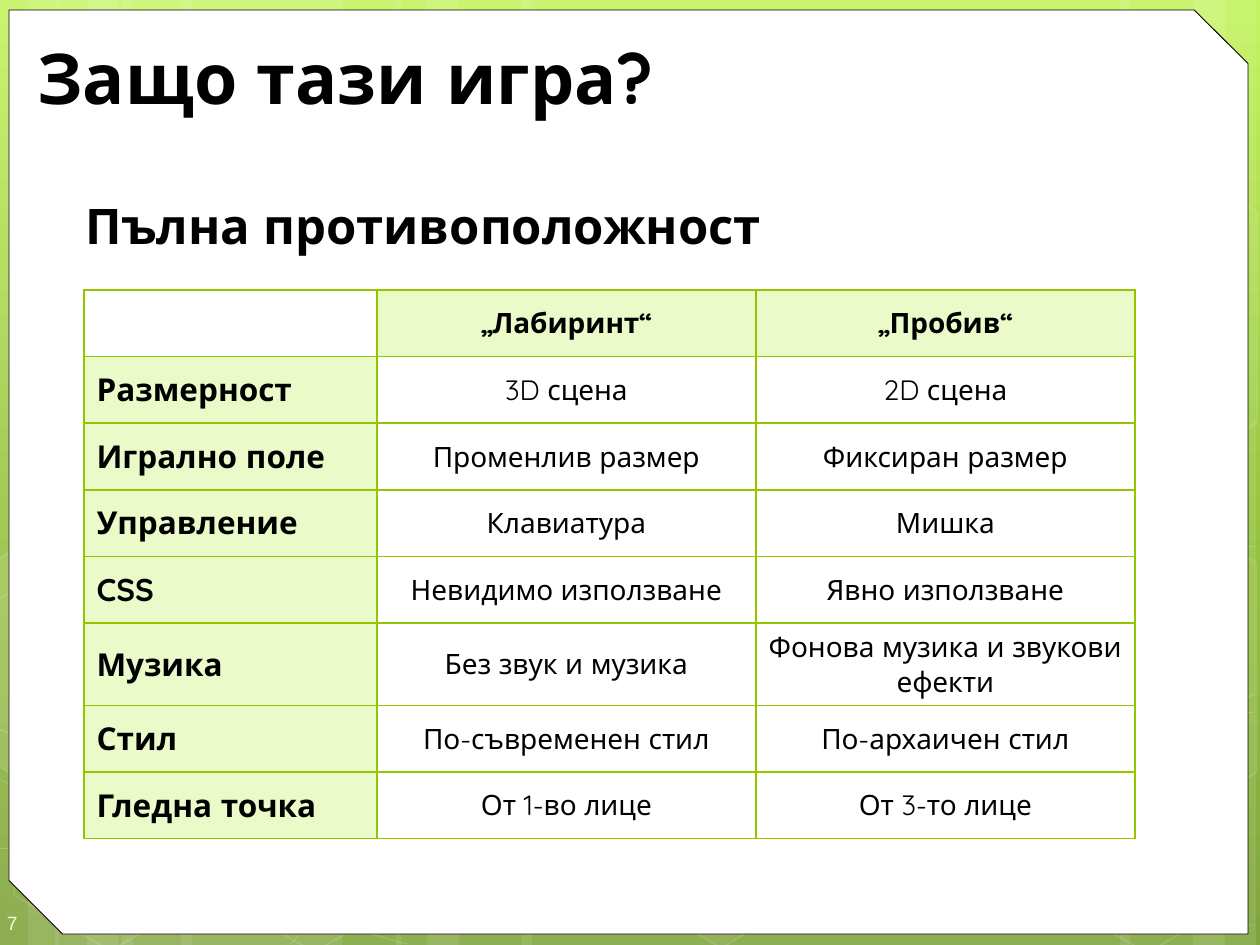
import copy
import math
from dataclasses import dataclass
from typing import Optional

import pptx
import pptx.dml.color
import pptx.enum.shapes
import pptx.enum.text
import pptx.oxml
import pptx.oxml.ns
import pptx.util

EMU_PER_PX = 914400 / 126
WIDTH, HEIGHT = 1260, 945
FONT = "Quicksand"
COLORS = {
    "top": "C3F35F", "middle": "93BF3F", "bottom": "81A53E",
    "white": "FFFFFF", "black": "000000", "number": "EEFFD6",
    "header": "EAFAC9", "border": "94C600",
}
ANCHOR = pptx.enum.text.MSO_ANCHOR
ALIGN = pptx.enum.text.PP_ALIGN
SHAPE = pptx.enum.shapes.MSO_SHAPE
TILT = 30  # degrees, for every hexagon


@dataclass
class Box:
    left: int
    top: int
    width: int
    height: int


@dataclass
class Look:
    """Fill and line of a shape; opacities are in percent."""
    fill: Optional[int] = None
    line: Optional[int] = None
    points: float = 1
    line_color: str = "white"


@dataclass
class Hexagon:
    left: int
    top: int
    fill: Optional[int] = None
    line: int = 12


@dataclass
class CutHexagon:
    center: tuple
    points: list
    fill: Optional[int] = None


# Left, width and rotation
STRIPES = [(122, 220, 0), (-4, 63, 0), (28, 105, 0), (181, 220, 0), (55, 63, 0), (87, 105, 0),
           (910, 220, 180), (1193, 63, 180), (1120, 105, 180),
           (522, 388, 0), (396, 63, 0), (427, 105, 0)]

# Each curve: a start point, then three points for every Bezier segment
CURVES = [
    [(-5, 848), (63, 852), (131, 855), (226, 854), (320, 853), (436, 850), (563, 838),
     (689, 825), (868, 801), (983, 777), (1099, 753), (1217, 716), (1255, 694)],
    [(-5, 601), (31, 581), (68, 562), (139, 543), (210, 524), (311, 496), (423, 488),
     (536, 480), (672, 479), (810, 488), (949, 498), (1179, 537), (1255, 547)],
    [(-6, 777), (145, 847), (297, 916), (407, 944)],
    [(-5, 728), (34, 742), (74, 756), (147, 776), (220, 795), (330, 827), (435, 848),
     (541, 869), (673, 892), (777, 905), (881, 919), (994, 924), (1060, 927),
     (1126, 932), (1144, 930), (1177, 930), (1208, 929), (1232, 926), (1255, 925)],
    [(291, 944), (314, 919), (336, 893), (367, 871), (397, 848), (440, 823), (474, 805),
     (509, 788), (532, 780), (577, 767), (624, 755), (708, 737), (752, 728),
     (796, 719), (804, 719), (843, 717), (882, 713), (944, 709), (987, 708),
     (1029, 707), (1102, 708), (1102, 708), (1130, 708), (1158, 708), (1186, 708),
     (1210, 709), (1231, 711), (1242, 712), (1252, 713), (1249, 712), (1254, 713)],
]
HONEYCOMB = [
    Hexagon(410, 394, 10), Hexagon(509, 568), Hexagon(510, 219, 7, 8),
    Hexagon(407, 45, 4, 8), Hexagon(611, 742, 6),
    CutHexagon((30, 674), [(-4, 561), (10, 552), (107, 607), (106, 718), (11, 774), (-4, 765)], 10),
    Hexagon(0, 745), Hexagon(4, 393, 7, 8), Hexagon(103, 568), Hexagon(204, 746),
    Hexagon(208, 394, 7, 8), Hexagon(106, 215), Hexagon(935, 571, 10),
    Hexagon(1037, 747), Hexagon(1037, 396, 7, 8),
    CutHexagon((1227, 655), [(1153, 611), (1247, 556), (1256, 562), (1257, 772),
                             (1249, 777), (1152, 722)], 4),
    CutHexagon((1227, 304), [(1153, 261), (1247, 205), (1257, 212), (1257, 422),
                             (1249, 427), (1152, 372)]),
]
COLUMN_WIDTHS = [293, 379, 379]
ROWS = [
    ("", "„Лабиринт“", "„Пробив“"),
    ("Размерност", "3D сцена", "2D сцена"),
    ("Игрално поле", "Променлив размер", "Фиксиран размер"),
    ("Управление", "Клавиатура", "Мишка"),
    ("CSS", "Невидимо използване", "Явно използване"),
    ("Музика", "Без звук и музика", "Фонова музика и звукови ефекти"),
    ("Стил", "По-съвременен стил", "По-архаичен стил"),
    ("Гледна точка", "От 1-во лице", "От 3-то лице"),
]


def px(value: int) -> int:
    return round(value * EMU_PER_PX)


def extent(box: Box) -> list:
    return [px(value) for value in (box.left, box.top, box.width, box.height)]


def rgb(name: str):
    return pptx.dml.color.RGBColor.from_string(COLORS[name])


def set_all(target, formats: dict) -> None:
    for attribute, value in formats.items():
        setattr(target, attribute, value)


def apply_look(shape, look: Look) -> None:
    shape.shadow.inherit = False
    parts = ((shape.fill, look.fill, "white", "./a:solidFill/a:srgbClr"),
             (shape.line.fill, look.line, look.line_color, "./a:ln/a:solidFill/a:srgbClr"))
    for fill, opacity, color, query in parts:
        if opacity is None:
            fill.background()
            continue
        fill.solid()
        fill.fore_color.rgb = rgb(color)
        if opacity < 100:
            element = shape.element.spPr.xpath(query)[0]
            element.append(element.makeelement(pptx.oxml.ns.qn("a:alpha"), {"val": str(opacity * 1000)}))
    if look.line is not None:
        shape.line.width = pptx.util.Pt(look.points)


def add_preset(slide, kind, box: Box, look: Look, adjustments=(), rotation: int = 0) -> None:
    shape = slide.shapes.add_shape(kind, *extent(box))
    for index, value in enumerate(adjustments):
        shape.adjustments[index] = value
    shape.rotation = rotation
    apply_look(shape, look)


def add_outline(slide, points: list, look: Look, closed: bool):
    builder = slide.shapes.build_freeform(*points[0], scale=EMU_PER_PX)
    builder.add_line_segments(points[1:], close=closed)
    shape = builder.convert_to_shape()
    apply_look(shape, look)
    return shape


def add_curve(slide, points: list) -> None:
    shape = add_outline(slide, points, Look(line=20, points=0.5), False)
    lines = shape.element.xpath(".//a:lnTo")
    for start in range(0, len(lines), 3):  # three points make one Bezier segment
        segment = lines[start].makeelement(pptx.oxml.ns.qn("a:cubicBezTo"), {})
        lines[start].addprevious(segment)
        for line in lines[start:start + 3]:
            segment.append(line[0])
            line.getparent().remove(line)


def add_cut_hexagon(slide, hexagon: CutHexagon) -> None:
    cosine, sine = math.cos(math.radians(TILT)), math.sin(math.radians(TILT))
    x, y = hexagon.center
    upright = [(x + (a - x) * cosine + (b - y) * sine, y - (a - x) * sine + (b - y) * cosine)
               for a, b in hexagon.points]
    add_outline(slide, upright, Look(hexagon.fill, 12), True).rotation = TILT


def write_text(frame, text: str, size: int, bold: bool = False, align=ALIGN.LEFT,
               color: str = "black", name: str = FONT) -> None:
    paragraph = frame.paragraphs[0]
    paragraph.text = text
    set_all(paragraph, {"alignment": align, "space_before": pptx.util.Pt(0)})
    font = paragraph.runs[0].font
    set_all(font, {"name": name, "size": pptx.util.Pt(size), "bold": bold})
    font.color.rgb = rgb(color)


def place_placeholder(slide, shape, box: Box, text: str, size: int, anchor) -> None:
    slide.shapes.element.append(shape.element)  # in front of the backdrop
    shape.left, shape.top, shape.width, shape.height = extent(box)
    set_all(shape.text_frame, {"word_wrap": True, "vertical_anchor": anchor,
                               "auto_size": pptx.enum.text.MSO_AUTO_SIZE.NONE})
    write_text(shape.text_frame, text, size, bold=True)


def paint_background(slide) -> None:
    fill = slide.background.fill
    fill.gradient()
    fill.gradient_angle = 270
    stop_list = slide.element.xpath(".//p:bg//a:gsLst")[0]
    stop_list.append(copy.deepcopy(stop_list[-1]))
    for stop, name, position in zip(fill.gradient_stops, ("top", "middle", "bottom"), (0, 0.62, 1)):
        stop.color.rgb = rgb(name)
        stop.position = position


def add_borders(cell) -> None:
    properties = cell._tc.get_or_add_tcPr()
    for index, side in enumerate(("lnL", "lnR", "lnT", "lnB")):
        properties.insert(index, pptx.oxml.parse_xml(
            f'<a:{side} {pptx.oxml.ns.nsdecls("a")} w="12700"><a:solidFill>'
            f'<a:srgbClr val="{COLORS["border"]}"/></a:solidFill></a:{side}>'))


def add_comparison(slide, box: Box) -> None:
    table = slide.shapes.add_table(len(ROWS), len(COLUMN_WIDTHS), *extent(box)).table
    table.first_row = table.horz_banding = False
    for column, width in zip(table.columns, COLUMN_WIDTHS):
        column.width = px(width)
    for row, texts in enumerate(ROWS):
        for column, text in enumerate(texts):
            cell = table.cell(row, column)
            cell.vertical_anchor = ANCHOR.MIDDLE
            heading = row == 0 or column == 0
            if heading and text:
                cell.fill.solid()
                cell.fill.fore_color.rgb = rgb("header")
            else:
                cell.fill.background()
            if text:
                write_text(cell.text_frame, text, 16 if column else 18, heading,
                           ALIGN.CENTER if column else ALIGN.LEFT)
            add_borders(cell)


def main() -> None:
    presentation = pptx.Presentation()
    presentation.slide_width, presentation.slide_height = px(WIDTH), px(HEIGHT)
    slide = presentation.slides.add_slide(presentation.slide_layouts[1])
    title, body = slide.placeholders

    # Backdrop: gradient, stripes, curves and honeycomb
    paint_background(slide)
    for left, width, rotation in STRIPES:
        add_preset(slide, SHAPE.RECTANGLE, Box(left, 0, width, HEIGHT), Look(fill=10), (), rotation)
    for curve in CURVES:
        add_curve(slide, curve)
    for cell in HONEYCOMB:
        if isinstance(cell, CutHexagon):
            add_cut_hexagon(slide, cell)
        else:
            add_preset(slide, SHAPE.HEXAGON, Box(cell.left, cell.top, 220, 191),
                       Look(cell.fill, cell.line), (0.285, 1.155), TILT)

    # White sheet with two snipped corners
    add_preset(slide, SHAPE.SNIP_2_DIAG_RECTANGLE, Box(9, 10, 1239, 924),
               Look(100, 100, 0.5, "black"), (0, 0.058))

    # Slide number
    number = slide.shapes.add_textbox(*extent(Box(0, 895, 73, 50))).text_frame
    set_all(number, {"word_wrap": True, "vertical_anchor": ANCHOR.MIDDLE, "margin_left": px(7),
                     "margin_top": px(19), "margin_right": 0, "margin_bottom": px(13)})
    write_text(number, "7", 11, color="number", name="Arial")

    # Title and subtitle
    place_placeholder(slide, title, Box(25, 32, 1193, 89), "Защо тази игра?", 40, ANCHOR.MIDDLE)
    place_placeholder(slide, body, Box(64, 189, 1187, 746), "Пълна противоположност", 28, ANCHOR.TOP)
    properties = body.text_frame.paragraphs[0]._p.get_or_add_pPr()
    properties.set("marL", str(px(9)))
    properties.set("indent", "0")
    properties.append(properties.makeelement(pptx.oxml.ns.qn("a:buNone"), {}))

    # Comparison of the two games
    add_comparison(slide, Box(84, 290, sum(COLUMN_WIDTHS), 533))
    presentation.save("out.pptx")


if __name__ == "__main__":
    main()
